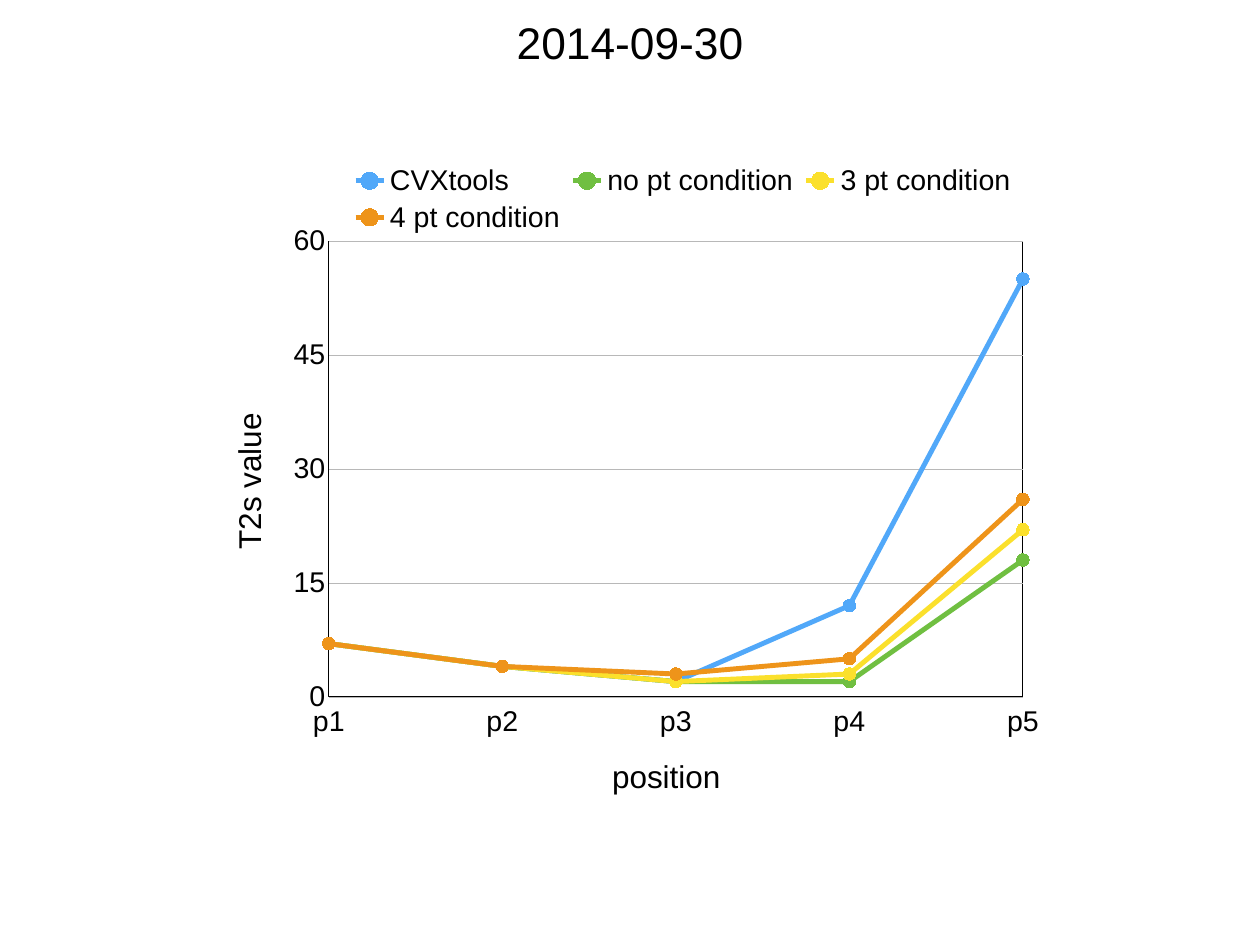
"""Build a slide with a line chart of T2s values by position."""
from lxml import etree
from pptx import Presentation
from pptx.chart.data import CategoryChartData
from pptx.dml.color import RGBColor
from pptx.enum.chart import XL_CHART_TYPE as CT, XL_LEGEND_POSITION as LP
from pptx.enum.chart import XL_MARKER_STYLE as MS, XL_TICK_LABEL_POSITION as TL, XL_TICK_MARK as TM
from pptx.enum.text import MSO_ANCHOR, MSO_AUTO_SIZE, PP_ALIGN
from pptx.oxml import parse_xml
from pptx.oxml.ns import nsdecls, qn
from pptx.util import Inches, Pt

COLORS = {"text": "000000", "grid": "B8B8B8", "blue": "51A8F9",
          "green": "70BF41", "yellow": "FBE02C", "orange": "EE941A"}
RGB = {name: RGBColor.from_string(value) for name, value in COLORS.items()}
SERIES = [("CVXtools", (7, 4, 2, 12, 55), "blue"),
          ("no pt condition", (7, 4, 2, 2, 18), "green"),
          ("3 pt condition", (7, 4, 2, 3, 22), "yellow"),
          ("4 pt condition", (7, 4, 3, 5, 26), "orange")]


def put_text(tf, text, size, font="Arial", color="text", align=PP_ALIGN.CENTER):
    p = tf.paragraphs[0]
    p.alignment = align
    r = p.add_run()
    r.text = text
    r.font.size, r.font.name, r.font.bold = Pt(size), font, False
    r.font.color.rgb = RGB[color]


def place(parent, index, box, inner=False):
    for old in parent.findall(qn("c:layout")):
        parent.remove(old)
    layout = parse_xml(f"<c:layout {nsdecls('c')}><c:manualLayout/></c:layout>")
    settings = [("layoutTarget", "inner")] if inner else []
    settings += [("xMode", "edge"), ("yMode", "edge"), *zip("xywh", box)]
    for tag, val in settings:
        etree.SubElement(layout[0], qn(f"c:{tag}")).set("val", str(val))
    parent.insert(index, layout)


prs = Presentation()
prs.slide_width, prs.slide_height = Inches(14.22), Inches(10.67)
s = prs.slides.add_slide(prs.slide_layouts[5])

data = CategoryChartData()
data.categories = ["p1", "p2", "p3", "p4", "p5"]
for name, values, color in SERIES:
    data.add_series(name, values)
chart = s.shapes.add_chart(CT.LINE_MARKERS, Inches(2.48), Inches(1.81),
                           Inches(9.26), Inches(7.3), data).chart
chart.has_title = False
chart.font.name, chart.font.size = "Arial", Pt(23.2)
chart.font.color.rgb = RGB["text"]
chart.plots[0].vary_by_categories = False

for ser, (name, values, color) in zip(chart.plots[0].series, SERIES):
    ser.smooth = False
    ser.format.line.color.rgb = RGB[color]
    ser.format.line.width = Pt(4)
    ser.marker.style, ser.marker.size = MS.CIRCLE, 10
    for part in (ser.marker.format.fill, ser.marker.format.line.fill):
        part.solid()
        part.fore_color.rgb = RGB[color]

cat, val = chart.category_axis, chart.value_axis
for axis, title in ((cat, "position"), (val, "T2s value")):
    axis.major_tick_mark = axis.minor_tick_mark = TM.NONE
    put_text(axis.axis_title.text_frame, title, 25.6)
cat.tick_label_position = TL.LOW
cat.format.line.color.rgb = RGB["text"]
cat.format.line.width = Pt(1)
val.minimum_scale, val.maximum_scale, val.major_unit = 0, 60, 15
val.format.line.fill.background()
val.major_gridlines.format.line.color.rgb = RGB["grid"]
val.major_gridlines.format.line.width = Pt(0.25)
val.tick_labels.number_format = "General"
val.tick_labels.number_format_is_linked = False

plot_area = chart.plots[0]._element.getparent()
plot_area.find(".//" + qn("c:majorUnit")).addprevious(
    parse_xml(f"<c:crossBetween {nsdecls('c')} val='midCat'/>"))
place(plot_area, 0, (0.133, 0.125, 0.846, 0.705), inner=True)
plot_area.append(parse_xml(
    f"<c:spPr {nsdecls('c', 'a')}><a:noFill/><a:ln w='9525'><a:solidFill>"
    f"<a:srgbClr val='{COLORS['text']}'/></a:solidFill></a:ln></c:spPr>"))

chart.has_legend = True
chart.legend.position = LP.TOP
chart.legend.include_in_layout = True
place(chart.legend._element, 1, (0.15, 0, 0.83, 0.12))

title = s.shapes.title
title.left, title.top = Inches(5.77), Inches(0.12)
title.width, title.height = Inches(2.68), Inches(0.71)
tf = title.text_frame
tf.margin_left = tf.margin_right = tf.margin_top = tf.margin_bottom = Inches(0.06)
tf.word_wrap, tf.auto_size = False, MSO_AUTO_SIZE.SHAPE_TO_FIT_TEXT
tf.vertical_anchor = MSO_ANCHOR.MIDDLE
put_text(tf, "2014-09-30", 36)

prs.save("out.pptx")
